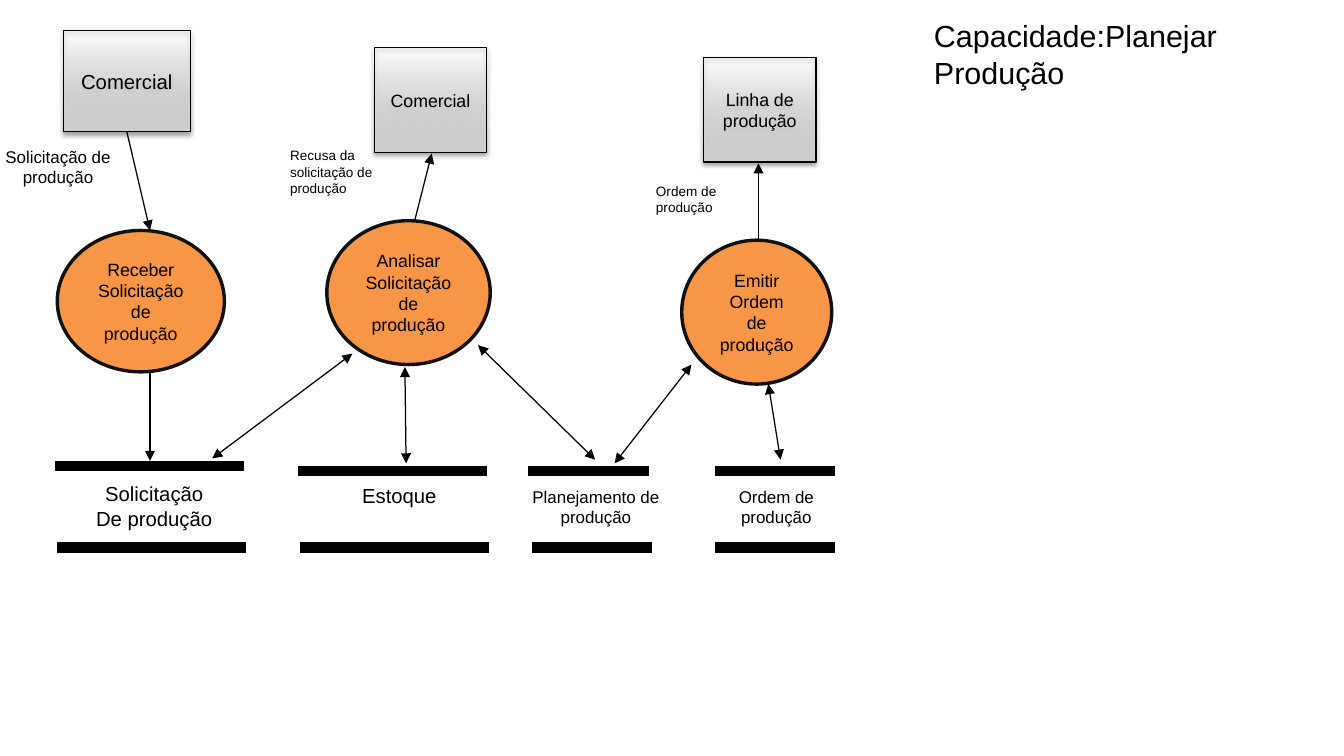
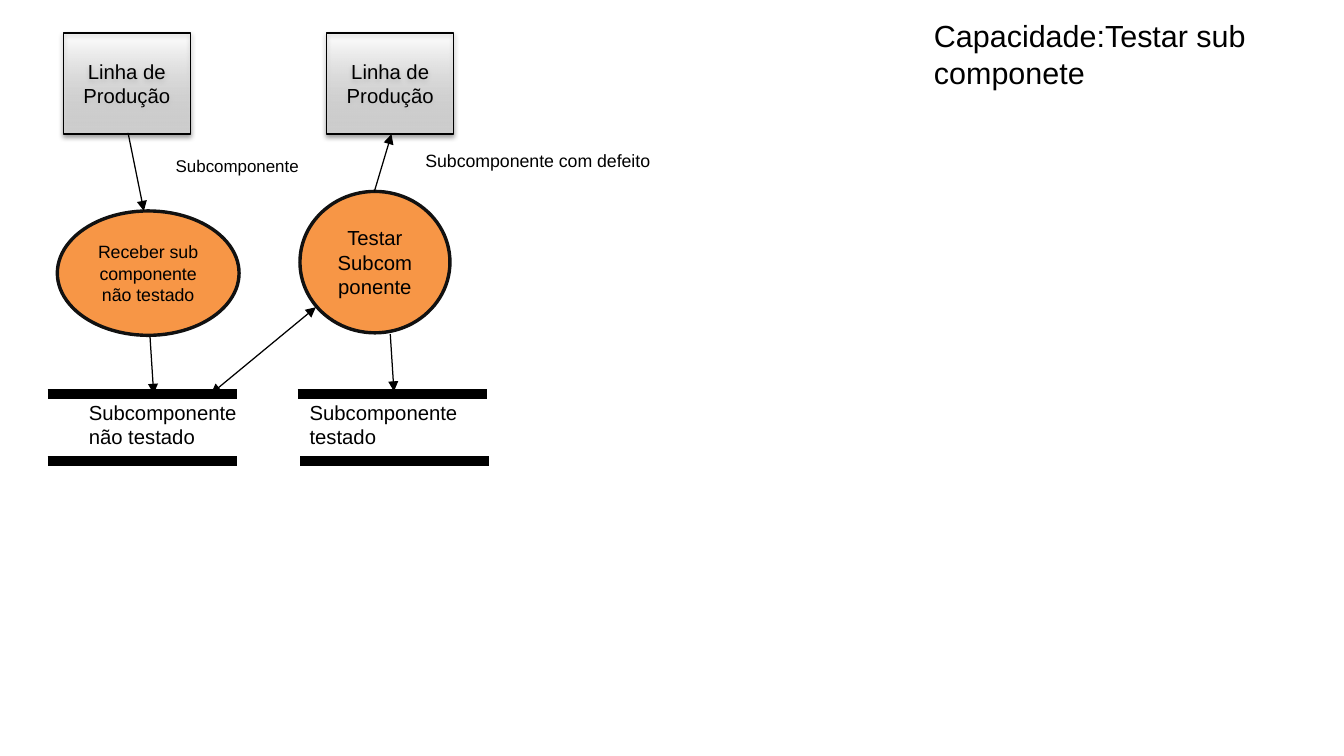
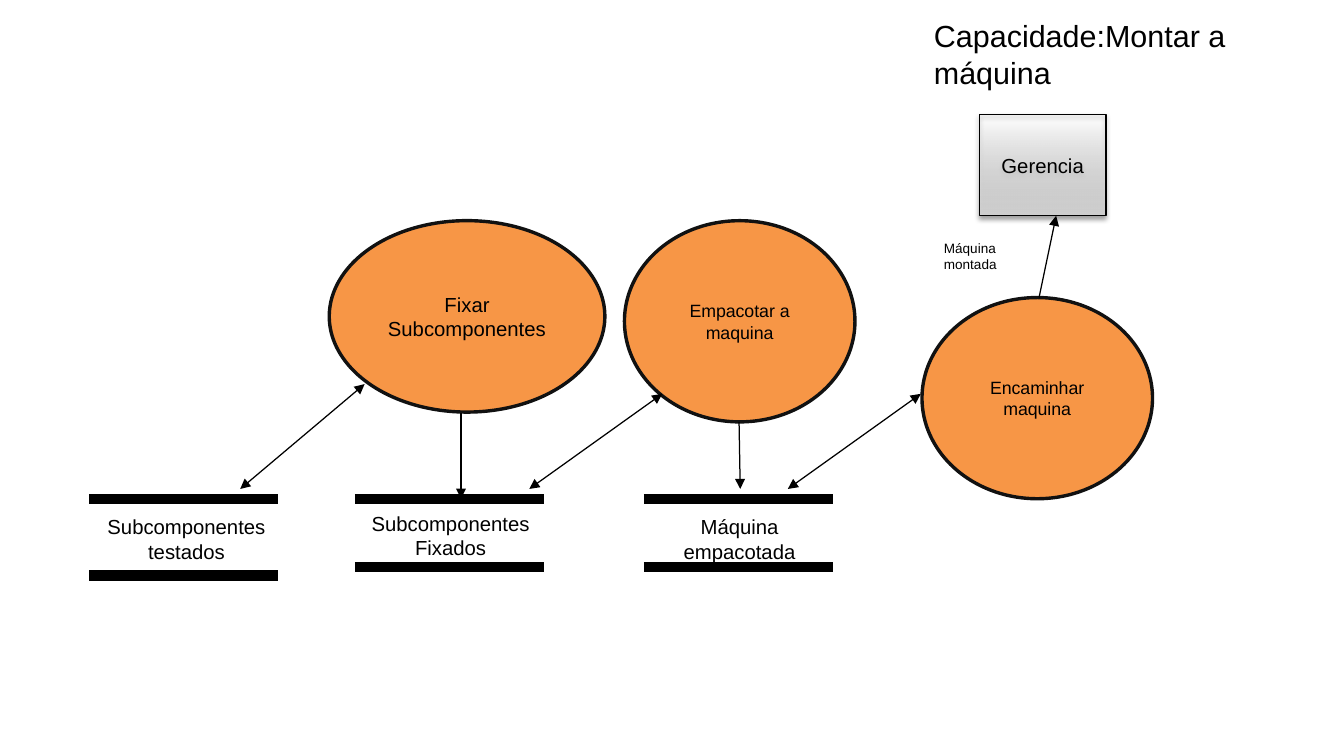
from dataclasses import dataclass

from lxml.etree import SubElement
from pptx import Presentation
from pptx.dml.color import RGBColor as RGB
from pptx.enum.shapes import MSO_CONNECTOR as CONN, MSO_SHAPE as SHAPE
from pptx.enum.text import MSO_ANCHOR as ANCHOR, PP_ALIGN as ALIGN
from pptx.oxml.ns import qn
from pptx.util import Inches, Pt


@dataclass(frozen=True)
class Theme:
    font: str = "Arial"
    ink: RGB = RGB(0, 0, 0)
    process: RGB = RGB(0xF7, 0x96, 0x46)
    process_line: RGB = RGB(0x11, 0x11, 0x11)
    entity_low: RGB = RGB(0xD0, 0xD0, 0xD0)
    entity_high: RGB = RGB(0xED, 0xED, 0xED)
    title: float = 18
    large: float = 12
    medium: float = 10.5
    small: float = 10
    note: float = 8
    thin: float = 0.75
    outline: float = 2
    bar: float = 6


T = Theme()
SIZE = (11.02, 6.2)
TITLE_AT = (7.56, 0.09, 3.07, 0.7)
WIDE, TALL = (1.04, 0.83), (0.92, 0.86)
LONG, SHORT = 1.55, 0.99
L, C = ALIGN.LEFT, ALIGN.CENTER

SLIDES = [
    {
        "title": "Capacidade:Planejar Produção",
        "entities": [
            ("Comercial", (0.52, 0.25), WIDE, T.large),
            ("Comercial", (3.07, 0.39), TALL, T.medium),
            ("Linha de produção", (5.77, 0.47), TALL, T.medium),
        ],
        "processes": [
            ("Receber Solicitação de produção", (0.47, 1.89), (1.37, 1.16), T.medium),
            ("Analisar Solicitação de produção", (2.68, 1.81), (1.34, 1.18), T.medium),
            ("Emitir Ordem\vde produção", (5.59, 1.97), (1.23, 1.18), T.medium),
        ],
        "bars": [
            (LONG, (0.45, 3.82), (0.47, 4.49)),
            (LONG, (2.44, 3.86), (2.46, 4.49)),
            (SHORT, (4.33, 3.86), (4.36, 4.49)),
            (SHORT, (5.86, 3.86), (5.86, 4.49)),
        ],
        "labels": [
            ("Solicitação de produção", (-0.27, 1.15, 1.49, 0.43), T.small, C),
            ("Solicitação\nDe produção", (0.35, 3.9, 1.83, 0.5), T.large, C),
            ("Recusa da solicitação de produção", (2.28, 1.16, 0.92, 0.5), T.note, L),
            ("Estoque", (2.36, 3.91, 1.83, 0.3), T.large, C),
            ("Planejamento de produção", (4.19, 3.94, 1.39, 0.43), T.small, C),
            ("Ordem de produção", (5.67, 3.94, 1.39, 0.43), T.small, C),
            ("Ordem de produção", (5.28, 1.45, 0.92, 0.36), T.note, L),
        ],
        "one_way": [
            ((1.04, 1.08), (1.23, 1.89)),
            ((1.23, 3.05), (1.23, 3.78)),
            ((3.4, 1.81), (3.54, 1.26)),
            ((6.22, 1.96), (6.22, 1.34)),
        ],
        "two_way": [
            ((2.89, 2.9), (1.74, 3.76)),
            ((3.33, 3.8), (3.32, 3.01)),
            ((4.88, 3.77), (3.92, 2.83)),
            ((5.04, 3.8), (5.67, 2.99)),
            ((6.4, 3.77), (6.3, 3.15)),
        ],
    },
    {
        "title": "Capacidade:Testar sub componete",
        "entities": [
            ("Linha de Produção", (0.52, 0.27), WIDE, T.large),
            ("Linha de Produção", (2.68, 0.27), WIDE, T.large),
        ],
        "processes": [
            ("Receber sub componente não testado", (0.47, 1.73), (1.49, 1.02), T.medium),
            ("Testar Subcomponente", (2.46, 1.57), (1.23, 1.16), T.large),
        ],
        "bars": [
            (LONG, (0.39, 3.23), (0.39, 3.78)),
            (LONG, (2.44, 3.23), (2.46, 3.78)),
        ],
        "labels": [
            ("Subcomponente", (1.28, 1.23, 1.33, 0.26), T.small, C),
            ("Subcomponente não testado", (0.63, 3.23, 1.46, 0.5), T.large, L),
            ("Subcomponente testado", (2.44, 3.23, 1.46, 0.5), T.large, L),
            ("Subcomponente com defeito", (3.39, 1.18, 2.2, 0.27), T.medium, L),
        ],
        "one_way": [
            ((1.05, 1.09), (1.18, 1.73)),
            ((1.23, 2.76), (1.26, 3.23)),
            ((3.2, 2.74), (3.23, 3.21)),
            ((3.07, 1.57), (3.21, 1.1)),
        ],
        "two_way": [((2.59, 2.52), (1.73, 3.23))],
    },
    {
        "title": "Capacidade:Montar a máquina",
        "entities": [("Gerencia", (8.03, 0.94), WIDE, T.large)],
        "processes": [
            ("Fixar Subcomponentes", (2.7, 1.81), (2.26, 1.57), T.large),
            ("Empacotar a maquina", (5.12, 1.81), (1.89, 1.65), T.medium),
            ("Encaminhar maquina", (7.56, 2.44), (1.89, 1.65), T.medium),
        ],
        "bars": [
            (LONG, (0.73, 4.09), (0.73, 4.72)),
            (LONG, (2.91, 4.09), (2.91, 4.65)),
            (LONG, (5.28, 4.09), (5.28, 4.65)),
        ],
        "labels": [
            ("Subcomponentes testados", (0.73, 4.17, 1.6, 0.5), T.large, C),
            ("Subcomponentes Fixados", (2.75, 4.14, 1.89, 0.5), T.large, C),
            ("Máquina empacotada", (5.2, 4.17, 1.73, 0.5), T.large, C),
            ("Máquina montada", (7.64, 1.92, 0.92, 0.36), T.note, L),
        ],
        "one_way": [
            ((3.78, 3.39), (3.78, 4.09)),
            ((6.06, 3.46), (6.07, 4.01)),
            ((8.52, 2.44), (8.66, 1.77)),
        ],
        "two_way": [
            ((2.99, 3.15), (1.97, 4.01)),
            ((5.43, 3.23), (4.34, 4.01)),
            ((7.55, 3.23), (6.46, 4.01)),
        ],
    },
]


def inches(*values):
    return [Inches(v) for v in values]


def write(sp, text, size, align, anchor=ANCHOR.TOP):
    tf = sp.text_frame
    tf.word_wrap = True
    tf.vertical_anchor = anchor
    tf.text = text
    for p in tf.paragraphs:
        p.alignment = align
        p.font.name, p.font.size = T.font, Pt(size)
        p.font.color.rgb = T.ink


def add_label(s, text, at, size, align):
    write(s.shapes.add_textbox(*inches(*at)), text, size, align)


def add_node(s, kind, text, at, extent, size, color, width):
    sp = s.shapes.add_shape(kind, *inches(*at, *extent))
    sp.line.color.rgb, sp.line.width = color, Pt(width)
    sp.shadow.inherit = False
    write(sp, text, size, C, ANCHOR.MIDDLE)
    return sp


def add_process(s, *content):
    sp = add_node(s, SHAPE.OVAL, *content, T.process_line, T.outline)
    sp.fill.solid()
    sp.fill.fore_color.rgb = T.process


def add_entity(s, *content):
    sp = add_node(s, SHAPE.RECTANGLE, *content, T.ink, T.thin)
    sp.fill.gradient()
    sp.fill.gradient_angle = 90
    for stop, color in zip(sp.fill.gradient_stops, (T.entity_low, T.entity_high)):
        stop.color.rgb = color
    spPr = sp._element.spPr
    high = spPr.findall(".//" + qn("a:gs"))[-1]
    SubElement(high[0], qn("a:alpha"), val="0")
    shadow = SubElement(spPr.find(qn("a:effectLst")), qn("a:outerShdw"),
                        blurRad=str(Pt(3.1)), dist=str(Pt(1.6)),
                        dir="5400000", rotWithShape="0")
    color = SubElement(shadow, qn("a:srgbClr"), val=str(T.ink))
    SubElement(color, qn("a:alpha"), val="38000")


def add_line(s, start, end, width, ends=()):
    line = s.shapes.add_connector(CONN.STRAIGHT, *inches(*start, *end))
    line.line.color.rgb, line.line.width = T.ink, Pt(width)
    spPr = line._element.spPr
    for tag in ends:
        SubElement(spPr.find(qn("a:ln")), qn(tag), type="triangle")
    SubElement(spPr, qn("a:effectLst"))


def build(s, content):
    add_label(s, content["title"], TITLE_AT, T.title, L)
    for entity in content["entities"]:
        add_entity(s, *entity)
    for process in content["processes"]:
        add_process(s, *process)
    for width, *starts in content["bars"]:
        for x, y in starts:
            add_line(s, (x, y), (x + width, y), T.bar)
    for label in content["labels"]:
        add_label(s, *label)
    for start, end in content["one_way"]:
        add_line(s, start, end, T.thin, ["a:tailEnd"])
    for start, end in content["two_way"]:
        add_line(s, start, end, T.thin, ["a:headEnd", "a:tailEnd"])


def main():
    """Build the three data-flow slides."""
    prs = Presentation()
    prs.slide_width, prs.slide_height = inches(*SIZE)
    for content in SLIDES:
        build(prs.slides.add_slide(prs.slide_layouts[6]), content)
    prs.save("out.pptx")


if __name__ == "__main__":
    main()
